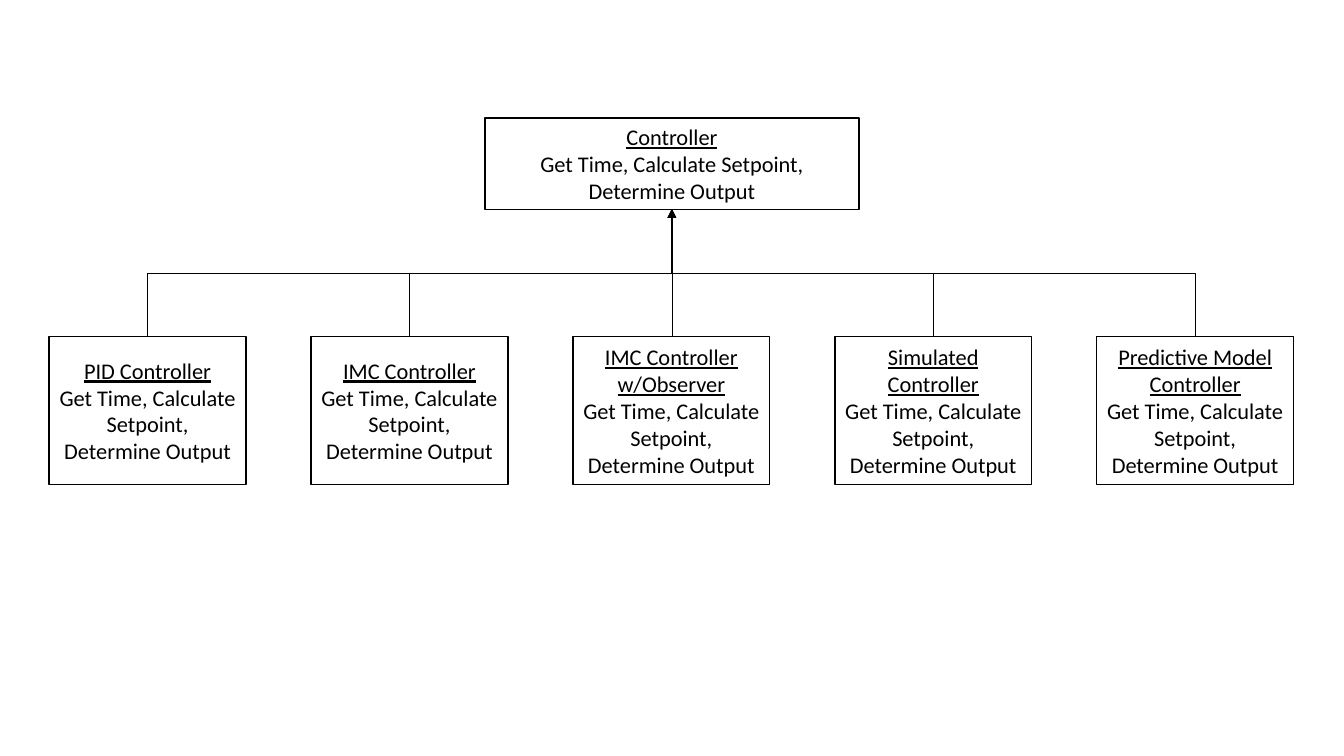
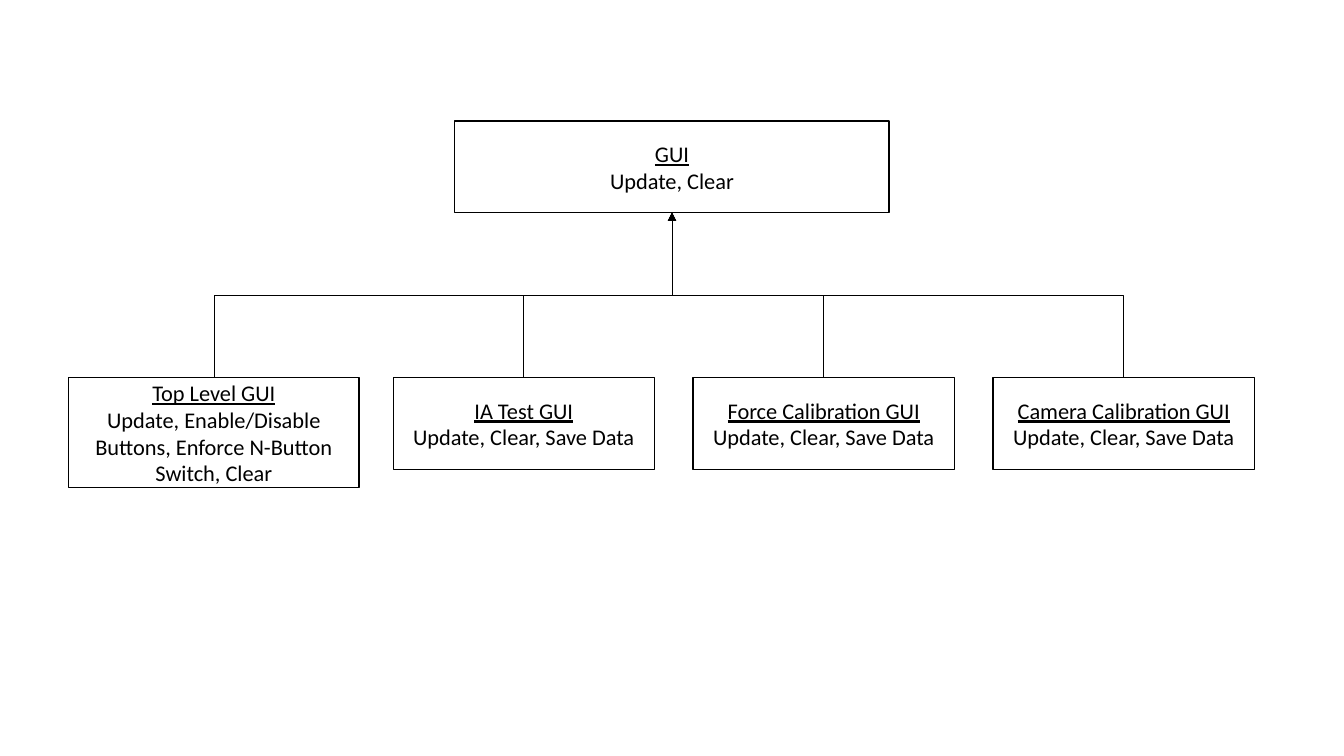
from pptx import Presentation
from pptx.dml.color import RGBColor
from pptx.enum import shapes, text
from pptx.util import Cm, Pt
from lxml import etree

WIDE, HIGH = 33.87, 19.05
INK = {"line": "000000", "fill": "FFFFFF", "text": "000000"}
FONT, SIZE = "Calibri", 16
NS = "http://schemas.openxmlformats.org/drawingml/2006/main"

TASKS = "Get Time, Calculate Setpoint, Determine Output"
SAVE = "Update, Clear, Save Data"


def row(left, step, top, wide, high, names, note):
    return [(name, note, left + i * step, top, wide, high)
            for i, name in enumerate(names)]


CHARTS = [
    (("Controller", TASKS, 2.97, 9.42, 2.31),
     row(1.24, 6.6, 8.48, 4.96, 3.73,
         ["PID Controller", "IMC Controller", "IMC Controller w/Observer",
          "Simulated Controller", "Predictive Model Controller"], TASKS)),
    (("GUI", "Update, Clear", 3.05, 10.95, 2.31),
     [("Top Level GUI",
       "Update, Enable/Disable Buttons, Enforce N-Button Switch, Clear",
       1.73, 9.52, 7.32, 2.77)]
     + row(9.91, 7.56, 9.52, 6.58, 2.31,
           ["IA Test GUI", "Force Calibration GUI", "Camera Calibration GUI"],
           SAVE)),
]


def color(key):
    return RGBColor.from_string(INK[key])


def add_box(slide, name, note, left, top, wide, high):
    box = slide.shapes.add_shape(shapes.MSO_SHAPE.RECTANGLE,
                                 Cm(left), Cm(top), Cm(wide), Cm(high))
    box.shadow.inherit = False
    box.fill.solid()
    box.fill.fore_color.rgb = color("fill")
    box.line.color.rgb = color("line")
    box.line.width = Pt(1)
    frame = box.text_frame
    frame.word_wrap = True
    frame.vertical_anchor = text.MSO_ANCHOR.MIDDLE
    frame.text = f"{name}\n{note}"
    for i, para in enumerate(frame.paragraphs):
        para.alignment = text.PP_ALIGN.CENTER
        para.font.name = FONT
        para.font.size = Pt(SIZE)
        para.font.color.rgb = color("text")
        para.font.underline = i == 0
    return box


def link(slide, child, root):
    x1, y1 = child.left + child.width // 2, child.top
    x2, y2 = root.left + root.width // 2, root.top + root.height
    wire = slide.shapes.add_connector(shapes.MSO_CONNECTOR.ELBOW,
                                      x1, y1, x2, y2)
    wire.begin_connect(child, 0)
    wire.end_connect(root, 2)
    run, rise = abs(x2 - x1), y1 - y2
    wire.left, wire.top = (x1 + x2 - rise) // 2, (y1 + y2 - run) // 2
    wire.width, wire.height = rise, run
    west = x1 < x2 - Cm(0.1)
    turn = wire._element.spPr.find(f"{{{NS}}}xfrm")
    turn.set("rot", str((90 if west else 270) * 60000))
    turn.set("flipH", "1" if west else "0")
    turn.set("flipV", "1")
    wire.line.color.rgb = color("line")
    wire.line.width = Pt(0.5)
    etree.SubElement(wire.line._get_or_add_ln(), f"{{{NS}}}tailEnd",
                     type="triangle")
    etree.SubElement(wire._element.spPr, f"{{{NS}}}effectLst")


deck = Presentation()
deck.slide_width, deck.slide_height = Cm(WIDE), Cm(HIGH)
for (name, note, top, wide, high), kids in CHARTS:
    slide = deck.slides.add_slide(deck.slide_layouts[6])
    root = add_box(slide, name, note, (WIDE - wide) / 2, top, wide, high)
    for kid in kids:
        link(slide, add_box(slide, *kid), root)
deck.save("out.pptx")
